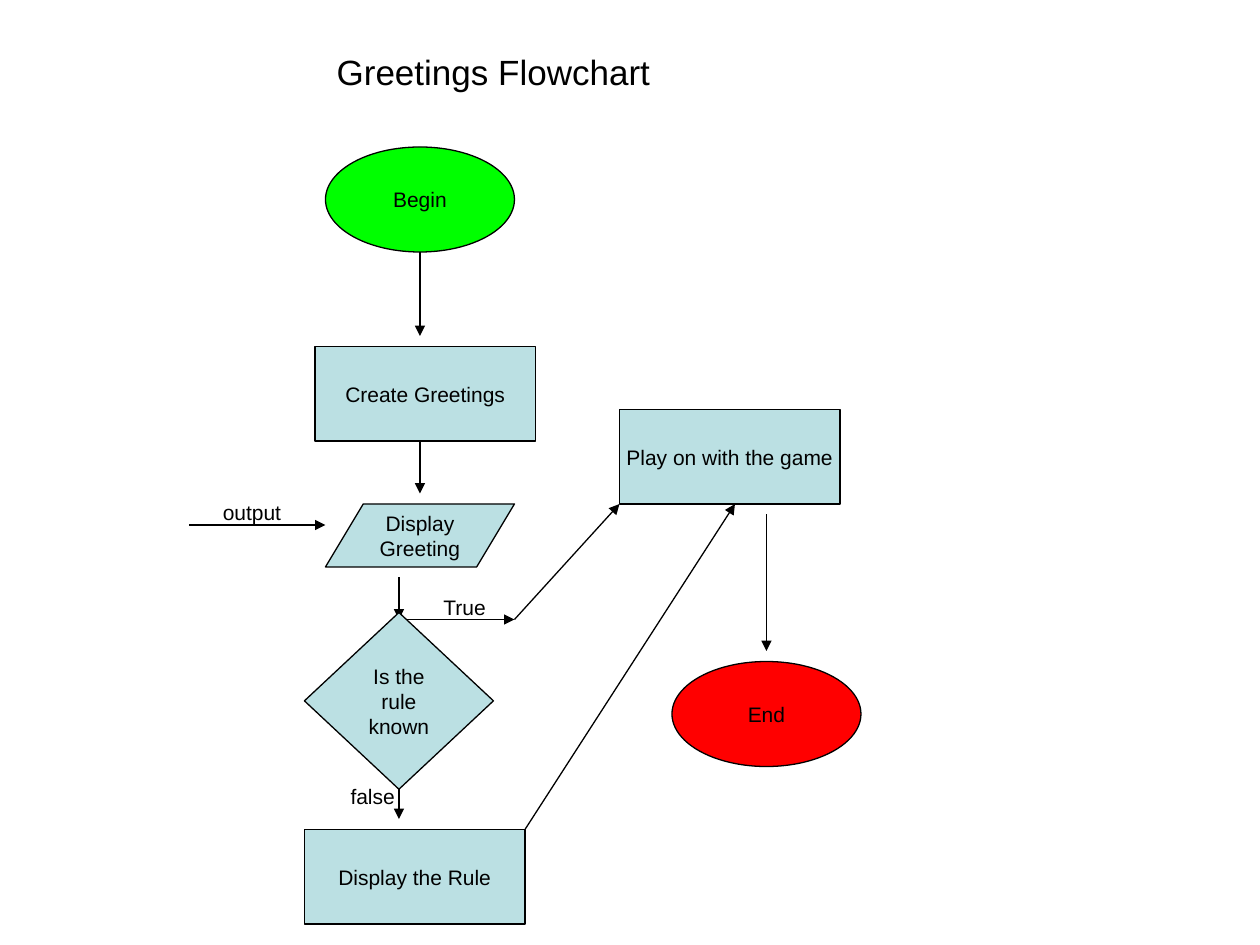
from lxml.etree import SubElement
from pptx import Presentation
from pptx.dml.color import RGBColor
from pptx.enum.shapes import MSO_CONNECTOR, MSO_SHAPE
from pptx.enum.text import MSO_ANCHOR, PP_ALIGN
from pptx.oxml.ns import qn
from pptx.util import Pt

COLORS = {
    "ink": "000000",
    "step": "BBE0E3",
    "begin": "00FF00",
    "end": "FF0000",
}

NODES = [
    (MSO_SHAPE.FLOWCHART_CONNECTOR, "begin", (78, 0, 108, 60), ["Begin"], False),
    (MSO_SHAPE.RECTANGLE, "step", (72, 114, 126, 54), ["Create Greetings"], False),
    (MSO_SHAPE.FLOWCHART_DATA, "step", (78, 204, 108, 36), ["Display", "Greeting"], True),
    (MSO_SHAPE.DIAMOND, "step", (66, 266, 108, 101), ["Is the rule known"], True),
    (MSO_SHAPE.RECTANGLE, "step", (66, 390, 126, 54), ["Display the Rule"], False),
    (MSO_SHAPE.RECTANGLE, "step", (246, 150, 126, 54), ["Play on with the game"], False),
    (MSO_SHAPE.FLOWCHART_CONNECTOR, "end", (276, 294, 108, 60), ["End"], False),
]

ARROWS = [
    (132, 60, 132, 108),
    (132, 168, 132, 198),
    (0, 216, 78, 216),
    (120, 246, 120, 270),
    (120, 270, 186, 270),
    (186, 270, 246, 204),
    (120, 366, 120, 384),
    (192, 390, 312, 204),
    (330, 210, 330, 288),
]

LABELS = [
    ("output", (12, 198, 48, 22)),
    ("True", (138, 252, 39, 22)),
    ("false", (84, 360, 42, 22)),
]


def color(name):
    """Return the named colour."""
    return RGBColor.from_string(COLORS[name])


def write(sp, lines, size=12, wrap=False, anchor=MSO_ANCHOR.MIDDLE):
    """Fill a shape with centred paragraphs."""
    tf = sp.text_frame
    tf.word_wrap = wrap
    tf.vertical_anchor = anchor
    tf.margin_left = tf.margin_right = Pt(7.2)
    tf.margin_top = tf.margin_bottom = Pt(3.6)
    for i, line in enumerate(lines):
        p = tf.add_paragraph() if i else tf.paragraphs[0]
        p.alignment = PP_ALIGN.CENTER
        r = p.add_run()
        r.text = line
        r.font.name = "Arial"
        r.font.size = Pt(size)
        r.font.color.rgb = color("ink")


def add_node(s, kind, fill, box, lines, wrap):
    """Draw one outlined flowchart symbol."""
    sp = s.shapes.add_shape(kind, *map(Pt, box))
    sp.shadow.inherit = False
    sp.fill.solid()
    sp.fill.fore_color.rgb = color(fill)
    sp.line.color.rgb = color("ink")
    sp.line.width = Pt(0.75)
    write(sp, lines, wrap=wrap)


def add_arrow(s, x1, y1, x2, y2):
    """Draw a straight arrow with a triangular head."""
    c = s.shapes.add_connector(MSO_CONNECTOR.STRAIGHT, Pt(x1), Pt(y1), Pt(x2), Pt(y2))
    c.line.color.rgb = color("ink")
    c.line.width = Pt(0.75)
    SubElement(c.line._get_or_add_ln(), qn("a:tailEnd"), type="triangle")
    SubElement(c._element.spPr, qn("a:effectLst"))


def add_title(s, left, top, width, height):
    """Place the slide title in its box."""
    sp = s.shapes.add_textbox(Pt(left), Pt(top), Pt(width), Pt(height))
    write(sp, ["Greetings Flowchart"], size=20, wrap=True)


def add_flowchart(s, left, top):
    """Place the arrows, symbols and labels from a top left corner."""
    for x1, y1, x2, y2 in ARROWS:
        add_arrow(s, left + x1, top + y1, left + x2, top + y2)
    for kind, fill, (x, y, w, h), lines, wrap in NODES:
        add_node(s, kind, fill, (left + x, top + y, w, h), lines, wrap)
    for text, (x, y, w, h) in LABELS:
        sp = s.shapes.add_textbox(Pt(left + x), Pt(top + y), Pt(w), Pt(h))
        write(sp, [text], anchor=MSO_ANCHOR.TOP)


def main():
    """Build and save the slide."""
    prs = Presentation()
    prs.slide_width, prs.slide_height = Pt(720), Pt(540)
    s = prs.slides.add_slide(prs.slide_layouts[6])
    add_title(s, 42, 24, 480, 34)
    add_flowchart(s, 108, 84)
    prs.save("out.pptx")


if __name__ == "__main__":
    main()
